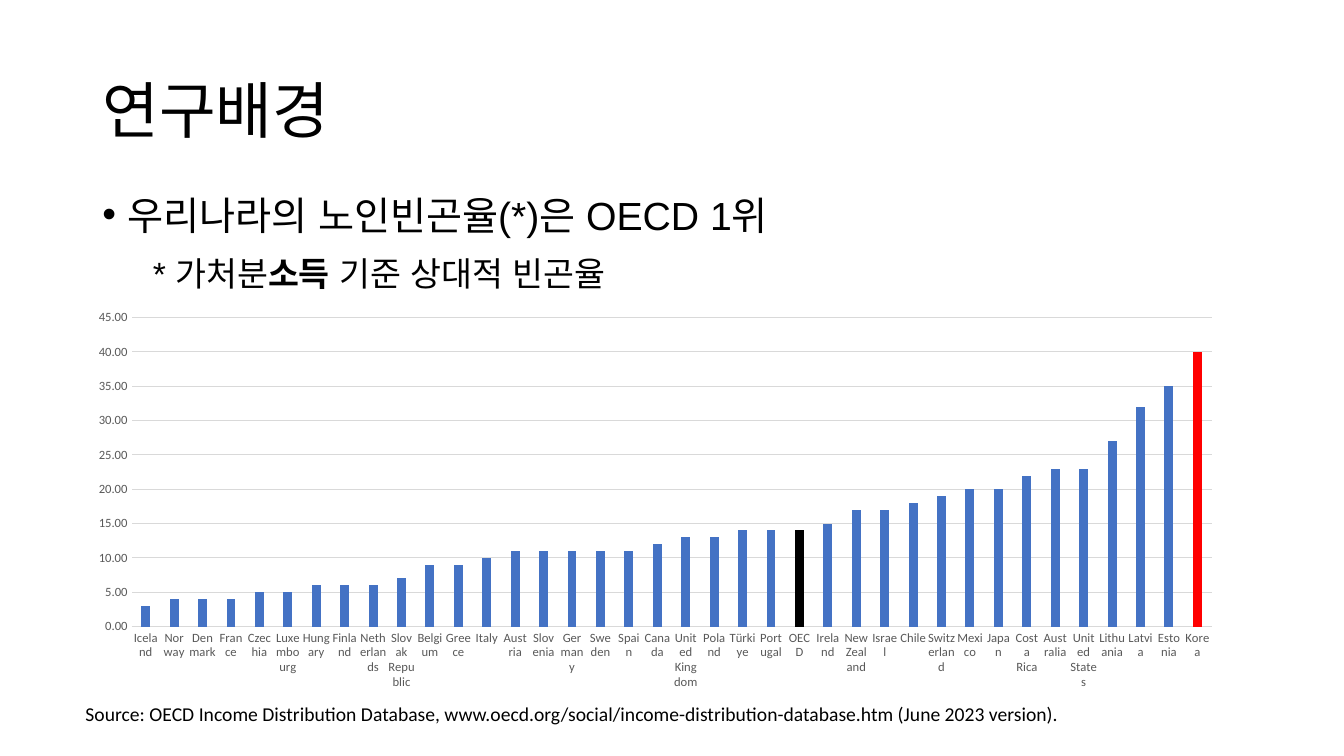
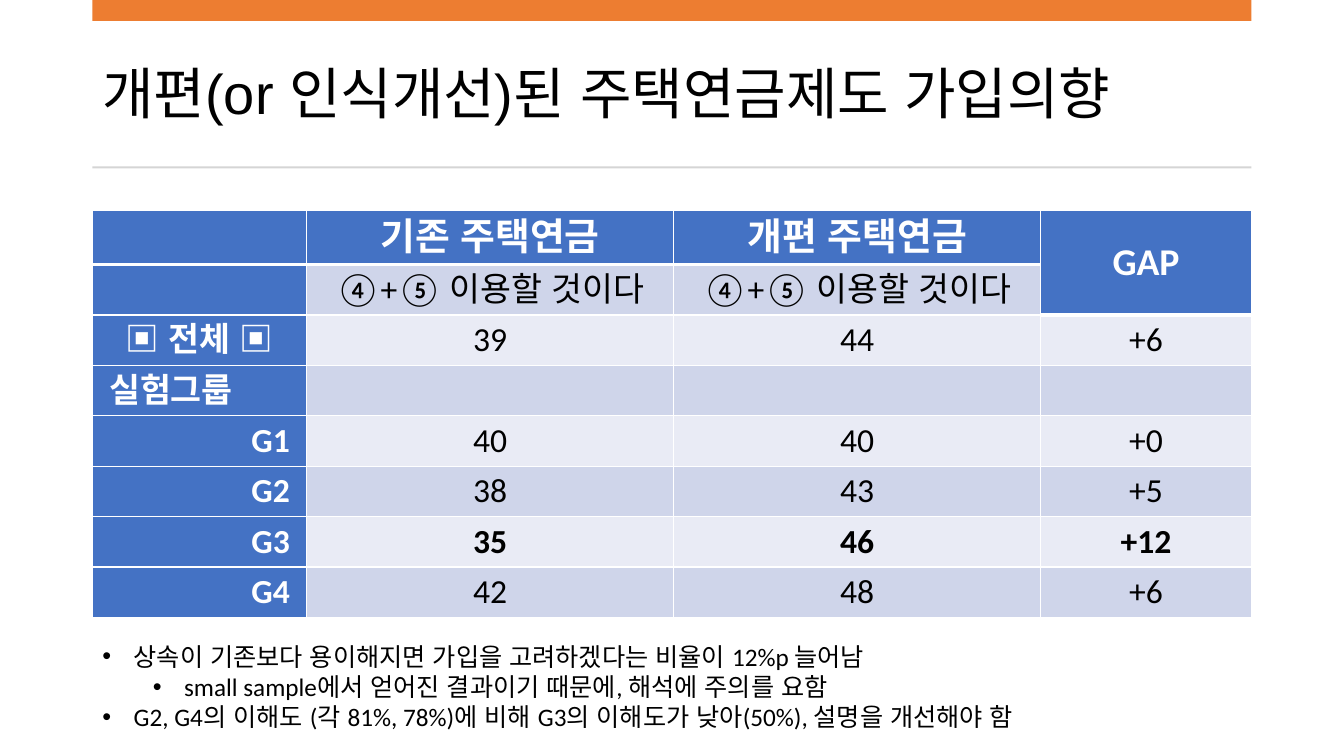
from dataclasses import dataclass

from lxml import etree
from pptx import Presentation
from pptx import util as u
from pptx.chart.data import CategoryChartData
from pptx.dml.color import RGBColor
from pptx.enum import chart as charts, shapes, text
from pptx.oxml.ns import qn

COLORS = {
    "text": "000000", "white": "FFFFFF", "blue": "4472C4", "red": "FF0000",
    "orange": "ED7D31", "rule": "D5D5D5", "grid": "D9D9D9", "axis": "595959",
    "band_dark": "CFD5EA", "band_light": "E9EBF5",
}
LATIN, HEADING, EAST_ASIAN = "Calibri", "Arial", "Arial"
LEFT, CENTER, RIGHT = text.PP_ALIGN.LEFT, text.PP_ALIGN.CENTER, text.PP_ALIGN.RIGHT
GRID = u.Inches(1) // 12  # the slide is 160 columns by 90 rows
COLUMNS, ROWS = 160, 90
MARGIN, CONTENT = 11, 138


@dataclass(frozen=True)
class Area:
    """A place on the grid, in columns and rows."""
    col: float
    row: float
    cols: float
    rows: float

    def emu(self) -> list[int]:
        return [cells(n) for n in (self.col, self.row, self.cols, self.rows)]


@dataclass(frozen=True)
class Item:
    """A list paragraph; indents are in inches."""
    words: str
    size: float
    font: str = LATIN
    level: int = 0
    indent: float = 0.0
    hanging: float = 0.0
    bullet: str = ""
    strong: str = ""
    spacing: float = 1.0
    before: float = 0


@dataclass(frozen=True)
class Row:
    label: str
    values: tuple[str, ...]
    align: int = RIGHT
    bold: bool = False


def cells(count: float) -> int:
    return round(count * GRID)


def rgb(name: str) -> RGBColor:
    return RGBColor.from_string(COLORS[name])


def style(font, size: float, face: str = LATIN, color: str = "text", bold=None) -> None:
    font.size, font.name, font.bold = u.Pt(size), face, bold
    font.color.rgb = rgb(color)
    etree.SubElement(font._rPr, qn("a:ea"), typeface=EAST_ASIAN)


def place(shape, area: Area) -> None:
    shape.left, shape.top, shape.width, shape.height = area.emu()


# Shared parts

def add_page(deck, heading: str, area: Area, size: float, face: str):
    page = deck.slides.add_slide(deck.slide_layouts[1])
    title = page.shapes.title
    place(title, area)
    frame = title.text_frame
    frame.text = heading
    frame.auto_size = text.MSO_AUTO_SIZE.NONE
    frame.vertical_anchor = text.MSO_ANCHOR.MIDDLE
    line = frame.paragraphs[0]
    line.alignment, line.line_spacing = LEFT, 0.9
    style(line.font, size, face)
    return page


def fill_list(page, area: Area, items: list[Item]) -> None:
    body = page.placeholders[1]
    place(body, area)
    frame = body.text_frame
    frame.auto_size = text.MSO_AUTO_SIZE.NONE
    for i, item in enumerate(items):
        line = frame.paragraphs[0] if i == 0 else frame.add_paragraph()
        line.level, line.alignment = item.level, LEFT
        line.line_spacing, line.space_before = item.spacing, u.Pt(item.before)
        props = line._p.get_or_add_pPr()
        props.set("marL", str(u.Inches(item.indent)))
        props.set("indent", str(-u.Inches(item.hanging)))
        if item.bullet:
            etree.SubElement(props, qn("a:buChar")).set("char", item.bullet)
        else:
            etree.SubElement(props, qn("a:buNone"))
        style(line.font, item.size, item.font)
        parts = item.words.partition(item.strong) if item.strong else (item.words,)
        for part in parts:
            run = line.add_run()
            run.text = part
            if part == item.strong:
                run.font.bold = True


def add_bar(page, area: Area, color: str) -> None:
    bar = page.shapes.add_shape(shapes.MSO_SHAPE.RECTANGLE, *area.emu())
    bar.shadow.inherit = False
    bar.fill.solid()
    bar.fill.fore_color.rgb = rgb(color)
    bar.line.fill.background()


# Poverty chart

POVERTY = {
    "Iceland": 3, "Norway": 4, "Denmark": 4, "France": 4, "Czechia": 5,
    "Luxembourg": 5, "Hungary": 6, "Finland": 6, "Netherlands": 6,
    "Slovak Republic": 7, "Belgium": 9, "Greece": 9, "Italy": 10, "Austria": 11,
    "Slovenia": 11, "Germany": 11, "Sweden": 11, "Spain": 11, "Canada": 12,
    "United Kingdom": 13, "Poland": 13, "Türkiye": 14, "Portugal": 14, "OECD": 14,
    "Ireland": 15, "New Zealand": 17, "Israel": 17, "Chile": 18, "Switzerland": 19,
    "Mexico": 20, "Japan": 20, "Costa Rica": 22, "Australia": 23,
    "United States": 23, "Lithuania": 27, "Latvia": 32, "Estonia": 35, "Korea": 40,
}
HIGHLIGHTS = {"OECD": "text", "Korea": "red"}


def add_poverty_chart(page, area: Area) -> None:
    data = CategoryChartData(number_format="0.00")
    data.categories = list(POVERTY)
    data.add_series("Series 1", list(POVERTY.values()))
    chart = page.shapes.add_chart(
        charts.XL_CHART_TYPE.COLUMN_CLUSTERED, *area.emu(), data).chart
    chart.has_legend = chart.has_title = False
    style(chart.font, 10)

    plot = chart.plots[0]
    plot.gap_width, plot.overlap, plot.vary_by_categories = 219, -27, False
    rates = plot.series[0]
    rates.format.fill.solid()
    rates.format.fill.fore_color.rgb = rgb("blue")
    for country, color in HIGHLIGHTS.items():
        column = rates.points[list(POVERTY).index(country)].format.fill
        column.solid()
        column.fore_color.rgb = rgb(color)

    countries, percent = chart.category_axis, chart.value_axis
    for axis in (countries, percent):
        axis.major_tick_mark = axis.minor_tick_mark = charts.XL_TICK_MARK.NONE
        style(axis.tick_labels.font, 9, color="axis")
    # Level country names wrap instead of slanting
    countries._element.find(qn("c:txPr")).find(qn("a:bodyPr")).set("rot", "0")
    percent.minimum_scale, percent.maximum_scale, percent.major_unit = 0, 45, 5
    percent.tick_labels.number_format = "0.00"
    percent.tick_labels.number_format_is_linked = False
    percent.format.line.fill.background()
    for line in (countries.format.line, percent.major_gridlines.format.line):
        line.color.rgb, line.width = rgb("grid"), u.Pt(0.75)


def add_source(page, area: Area, words: str) -> None:
    frame = page.shapes.add_textbox(*area.emu()).text_frame
    frame.word_wrap = True
    frame.text = words
    style(frame.paragraphs[0].font, 14)


# Pension table

INTENT = "④+⑤ 이용할 것이다"
PENSION = [
    Row("", ("기존 주택연금", "개편 주택연금", "GAP")),
    Row("", (INTENT, INTENT, "")),
    Row("▣ 전체 ▣", ("39", "44", "+6"), CENTER),
    Row("실험그룹", ("", "", ""), LEFT),
    Row("G1", ("40", "40", "+0")),
    Row("G2", ("38", "43", "+5")),
    Row("G3", ("35", "46", "+12"), bold=True),
    Row("G4", ("42", "48", "+6")),
]
PENSION_COLS = (25.5, 43.7, 43.7, 25.1)
HEAD_ROWS, BODY_ROWS = 6.5, 6


def border(cell, sides: dict[str, float]) -> None:
    props = cell._tc.get_or_add_tcPr()
    for side, points in sides.items():
        line = etree.SubElement(props, qn(f"a:ln{side}"), w=str(u.Pt(points)))
        solid = etree.SubElement(line, qn("a:solidFill"))
        etree.SubElement(solid, qn("a:srgbClr"), val=COLORS["white"])


def format_cell(cell, words: str, align: int, fill: str, size: float,
                bold: bool, bottom: float) -> None:
    border(cell, {"L": 1, "R": 1, "T": 1, "B": bottom})
    cell.fill.solid()
    cell.fill.fore_color.rgb = rgb(fill)
    cell.margin_left = cell.margin_right = cells(2)
    cell.margin_top = cell.margin_bottom = 0
    cell.vertical_anchor = text.MSO_ANCHOR.MIDDLE
    if words:
        cell.text = words
        line = cell.text_frame.paragraphs[0]
        line.alignment = align
        style(line.font, size, color="white" if fill == "blue" else "text", bold=bold)


def add_pension_table(page, area: Area) -> None:
    table = page.shapes.add_table(len(PENSION), len(PENSION_COLS), *area.emu()).table
    table.horz_banding = False
    for column, width in zip(table.columns, PENSION_COLS):
        column.width = cells(width)
    gap = len(PENSION_COLS) - 1
    for r, row in enumerate(PENSION):
        table.rows[r].height = cells(BODY_ROWS if r else HEAD_ROWS)
        for c, words in enumerate((row.label, *row.values)):
            header = r == 0 or (r == 1 and c == gap)
            solid = header or c == 0
            band = "band_dark" if r % 2 else "band_light"
            format_cell(table.cell(r, c), words, CENTER if c else row.align,
                        "blue" if solid else band, 24 if r else 27,
                        solid or row.bold, 3 if header else 1)
    table.cell(0, gap).merge(table.cell(1, gap))


# Slides

def build_background(deck) -> None:
    page = add_page(deck, "연구배경", Area(MARGIN, 4.8, CONTENT, 17.4), 44, LATIN)
    fill_list(page, Area(MARGIN, 21, CONTENT, 60), [
        Item("우리나라의 노인빈곤율(*)은 OECD 1위", 28, HEADING, indent=0.25,
             hanging=0.25, bullet="•", spacing=1.2, before=10),
        Item("* 가처분소득 기준 상대적 빈곤율", 24, HEADING, level=1, indent=0.5,
             strong="소득", spacing=1.2, before=5),
    ])
    add_poverty_chart(page, Area(9, 36, CONTENT, 47))
    add_source(page, Area(9, 83, COLUMNS - 9, 4),
               "Source: OECD Income Distribution Database, "
               "www.oecd.org/social/income-distribution-database.htm (June 2023 version).")


def build_intention(deck) -> None:
    page = add_page(deck, "개편(or 인식개선)된 주택연금제도 가입의향",
                    Area(MARGIN, 4.4, CONTENT, 14.2), 40, HEADING)
    add_bar(page, Area(MARGIN, 0, CONTENT, 2.5), "orange")
    add_bar(page, Area(MARGIN, 19.8, CONTENT, 0.25), "rule")
    add_pension_table(page, Area(MARGIN, 25, CONTENT, HEAD_ROWS + 7 * BODY_ROWS))
    outer = dict(size=18, indent=0.31, hanging=0.31, bullet="•")
    inner = outer | dict(indent=0.81, level=1)
    fill_list(page, Area(MARGIN, 75.7, CONTENT + 1, 12.1), [
        Item("상속이 기존보다 용이해지면 가입을 고려하겠다는 비율이 12%p 늘어남", **outer),
        Item("small sample에서 얻어진 결과이기 때문에, 해석에 주의를 요함", **inner),
        Item("G2, G4의 이해도 (각 81%, 78%)에 비해 G3의 이해도가 낮아(50%), "
             "설명을 개선해야 함", **outer),
    ])


def main() -> None:
    deck = Presentation()
    deck.slide_width, deck.slide_height = cells(COLUMNS), cells(ROWS)
    build_background(deck)
    build_intention(deck)
    deck.save("out.pptx")


if __name__ == "__main__":
    main()
